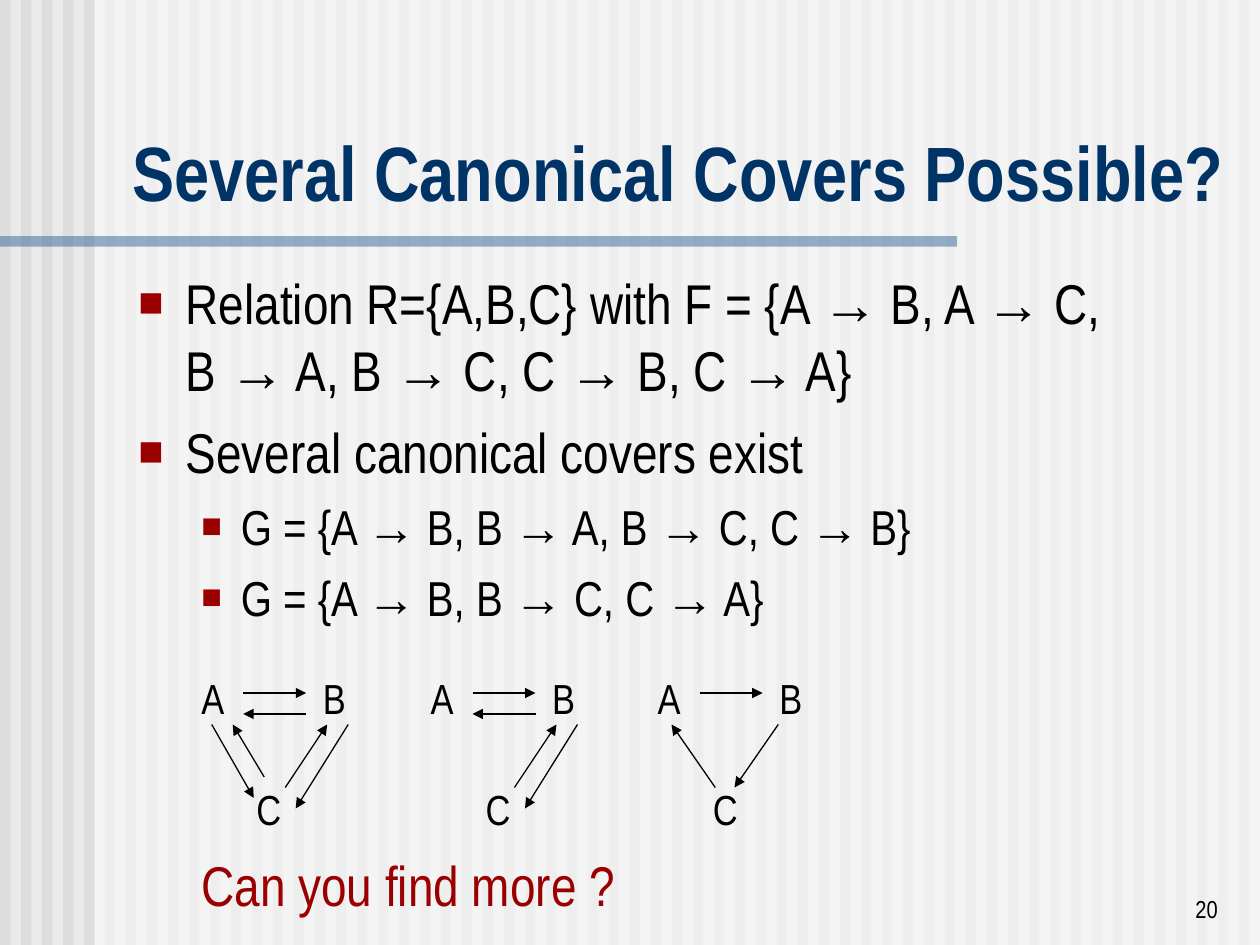
from itertools import groupby
from lxml.etree import SubElement
from pptx import Presentation
from pptx.dml.color import RGBColor
from pptx.enum.shapes import MSO_CONNECTOR, MSO_SHAPE
from pptx.enum.text import MSO_ANCHOR, PP_ALIGN
from pptx.oxml.ns import qn
from pptx.util import Pt

COLORS = {
    "back": "EAEAEA", "stripe": "DDDDDD", "veil": "FFFFFF", "rule": "336699",
    "title": "003366", "text": "000000", "accent": "9A0000",
}
NARROW = "Arial Narrow"
ITEMS = [
    (0, "Relation R={A,B,C} with F = {A → B, A → C, \nB → A, B → C, C → B, C → A}"),
    (0, "Several canonical covers exist"),
    (1, "G = {A → B, B → A, B → C, C → B}"),
    (1, "G = {A → B, B → C, C → A}"),
]
LEVELS = [
    {"size": 32, "left": 27, "hang": 27, "gap": 8, "mark": 75},
    {"size": 28, "left": 58.5, "hang": 22.5, "gap": 7, "mark": 70},
]
NODES = [("A", 0, 381), ("B", 69.5, 381), ("C", 31.5, 444)]
AB = (31, 396, 67, 396)
BA = (67, 408, 31, 408)
AC = (13, 414, 37, 456)
CA = (43, 444, 25, 414)
CB = (55, 450, 79, 414)
BC = (91, 414, 61, 462)
GRAPHS = [
    (108, [AB, BA, AC, CA, CB, BC]),
    (239, [AB, BA, CB, BC]),
    (368.75, [AB, (40, 450, 15, 414), (76, 414, 51, 450)]),
]


def color(key):
    return RGBColor.from_string(COLORS[key])


def apply(target, values):
    for name, value in values.items():
        setattr(target, name, value)


def bar(slide, box, key, alpha=None):
    shape = slide.shapes.add_shape(MSO_SHAPE.RECTANGLE, *map(Pt, box))
    shape.shadow.inherit = False
    shape.line.fill.background()
    shape.fill.solid()
    shape.fill.fore_color.rgb = color(key)
    if alpha:
        tone = shape.fill._xPr.find(".//" + qn("a:srgbClr"))
        SubElement(tone, qn("a:alpha"), val=str(alpha * 1000))


def write(para, text, size, key="text", bold=False):
    for row, line in enumerate(text.split("\n")):
        if row:
            para.add_line_break()
        for arrow, chars in groupby(line, lambda char: char == "→"):
            run = para.add_run()
            run.text = "".join(chars)
            apply(run.font, {"name": "Arial" if arrow else NARROW,
                             "size": Pt(size), "bold": bold})
            run.font.color.rgb = color(key)


def frame(slide, box, **values):
    area = slide.shapes.add_textbox(*map(Pt, box)).text_frame
    apply(area, {"word_wrap": True, **values})
    return area


def label(slide, box, text, size, key="text", bold=False, align=PP_ALIGN.LEFT, **values):
    para = frame(slide, box, **values).paragraphs[0]
    para.alignment = align
    write(para, text, size, key, bold)


def bullet(para, level):
    props = para._p.get_or_add_pPr()
    props.set("marL", str(Pt(level["left"])))
    props.set("indent", str(-Pt(level["hang"])))
    tint = SubElement(props, qn("a:buClr"))
    SubElement(tint, qn("a:srgbClr"), val=COLORS["accent"])
    SubElement(props, qn("a:buSzPct"), val=str(level["mark"] * 1000))
    SubElement(props, qn("a:buFont"), typeface="Arial")
    SubElement(props, qn("a:buChar"), char="■")


def body(slide):
    area = frame(slide, (72, 150, 638.5, 216))
    for index, (depth, text) in enumerate(ITEMS):
        para = area.add_paragraph() if index else area.paragraphs[0]
        level = LEVELS[depth]
        bullet(para, level)
        apply(para, {"level": depth, "space_before": Pt(level["gap"] if index else 0)})
        write(para, text, level["size"])


def arrow(slide, ends):
    link = slide.shapes.add_connector(MSO_CONNECTOR.STRAIGHT, *map(Pt, ends))
    link.line.width = Pt(0.75)
    link.line.color.rgb = color("text")
    SubElement(link.line._get_or_add_ln(), qn("a:tailEnd"), type="triangle")
    SubElement(link._element.spPr, qn("a:effectLst"))


def graph(slide, left, edges):
    for name, x, y in NODES:
        label(slide, (left + x, y, 27.5, 36), name, 24, word_wrap=False)
    for x1, y1, x2, y2 in edges:
        arrow(slide, (left + x1, y1, left + x2, y2))


def main():
    deck = Presentation()
    apply(deck, {"slide_width": Pt(720), "slide_height": Pt(540)})
    slide = deck.slides.add_slide(deck.slide_layouts[6])
    slide.background.fill.solid()
    slide.background.fill.fore_color.rgb = color("back")
    for x in range(0, 720, 12):
        bar(slide, (x, 0, 6, 540), "stripe")
    bar(slide, (54, 0, 666, 540), "veil", 50)
    bar(slide, (0, 135, 547, 6), "rule", 50)
    label(slide, (68.5, 67.5, 643, 60), "Several Canonical Covers Possible?", 44,
          "title", True, vertical_anchor=MSO_ANCHOR.BOTTOM)
    body(slide)
    for left, edges in GRAPHS:
        graph(slide, left, edges)
    label(slide, (108, 482.5, 262, 46), "Can you find more ?", 32, "accent")
    label(slide, (553, 495.5, 150, 36), "20", 14, align=PP_ALIGN.RIGHT,
          vertical_anchor=MSO_ANCHOR.BOTTOM)
    deck.save("out.pptx")


if __name__ == "__main__":
    main()
